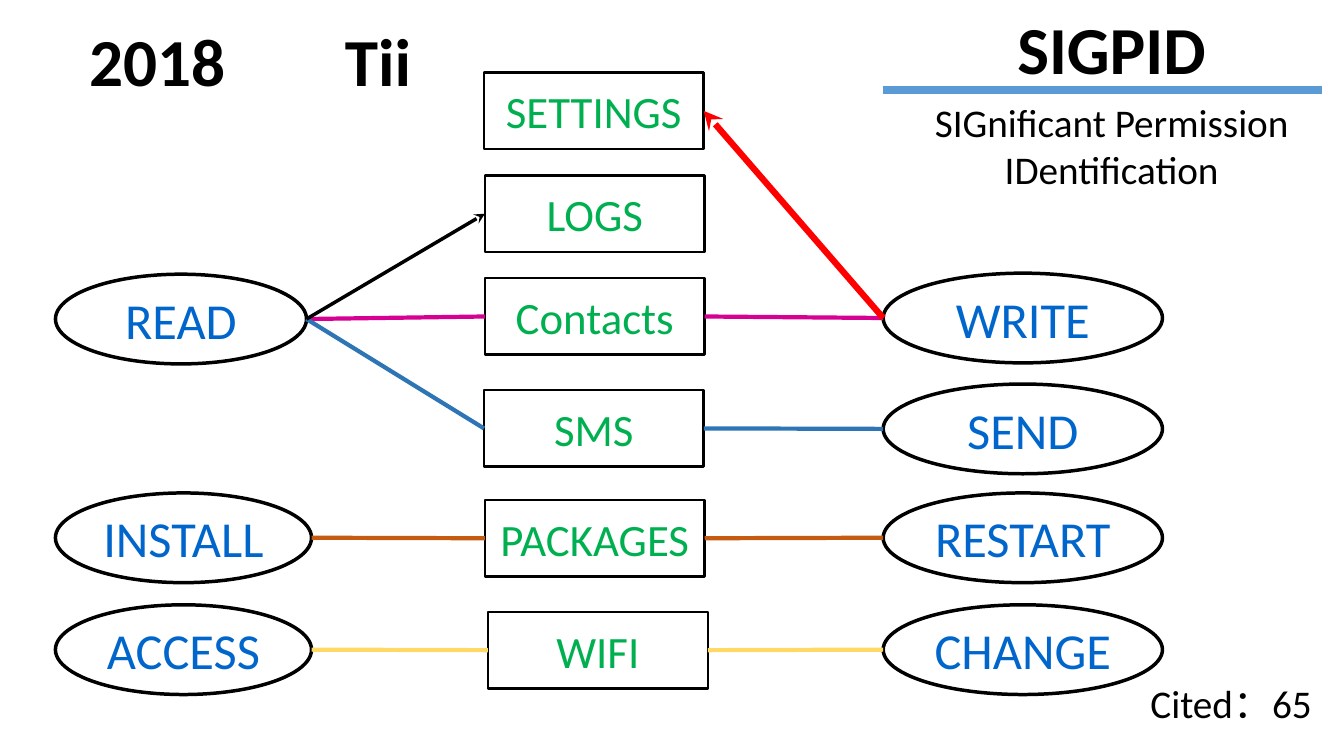
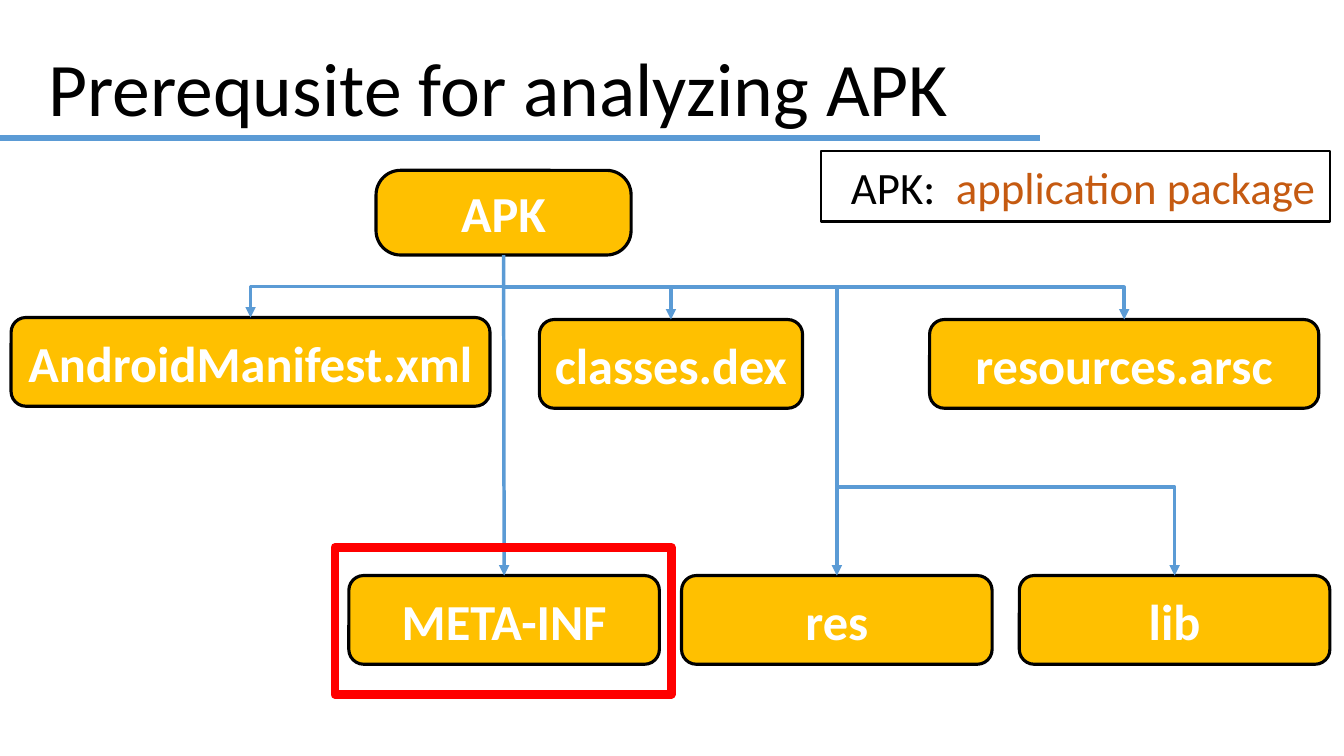
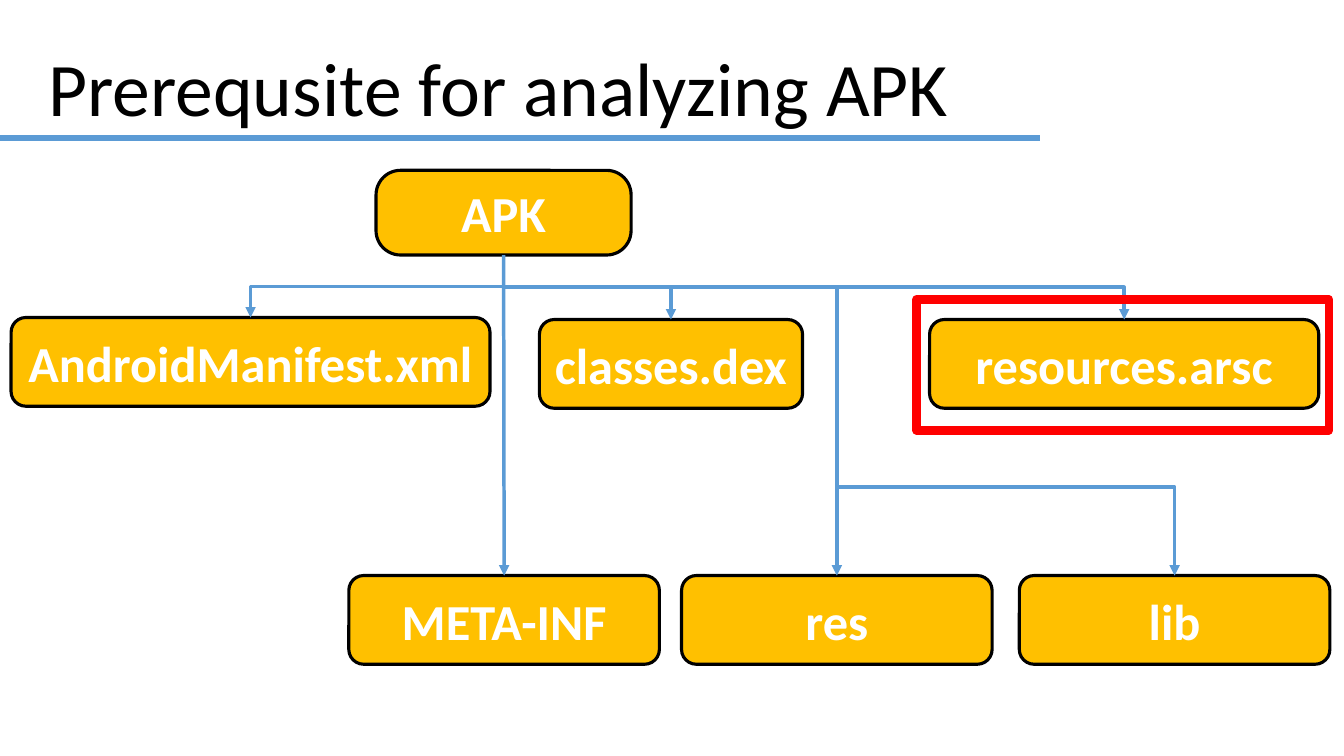
from lxml import etree
from pptx import Presentation
from pptx import util as u
from pptx.dml.color import RGBColor
from pptx.enum import shapes, text
from pptx.oxml import ns

FONT = "Calibri"
BLACK, WHITE, RED = "000000", "FFFFFF", "FF0000"
SKY, GOLD, RUST = "5B9BD5", "FFC000", "C55A11"
VERB_COLOR, TARGET_COLOR = "0066CC", "00B050"
PINK, BLUE, YELLOW = "D60093", "2E75B6", "FFD966"
KINDS = shapes.MSO_SHAPE
CENTER, LEFT, RIGHT = text.PP_ALIGN.CENTER, text.PP_ALIGN.LEFT, text.PP_ALIGN.RIGHT
TOP, MIDDLE = text.MSO_ANCHOR.TOP, text.MSO_ANCHOR.MIDDLE

LABELS = [
    (["2018"], (0.66, 0.14, 1.8, 0.91), 48, True, CENTER),
    (["Tii"], (2.95, 0.14, 1.6, 0.91), 48, True, CENTER),
    (["Cited：65"], (10.14, 6.69, 2.97, 0.57), 28, False, RIGHT),
    (["SIGnificant Permission", "IDentification"],
     (8.38, 0.93, 5.29, 1.04), 28, False, CENTER),
]
LEFT_VERBS = {"READ": (2.72, 2.49), "INSTALL": (4.89, 2.54), "ACCESS": (6, 2.54)}
RIGHT_VERBS = {"WRITE": 2.71, "SEND": 3.81, "RESTART": 4.89, "CHANGE": 6}
TARGETS = {
    "SETTINGS": (4.8, 0.72), "LOGS": (4.81, 1.74), "Contacts": (4.81, 2.76),
    "SMS": (4.8, 3.87), "PACKAGES": (4.81, 4.96), "WIFI": (4.84, 6.07),
}
LINKS = [
    ("READ", "Contacts", PINK, 3, None),
    ("WRITE", "Contacts", PINK, 3, None),
    ("READ", "SMS", BLUE, 3, None),
    ("SEND", "SMS", BLUE, 3, None),
    ("INSTALL", "PACKAGES", RUST, 3, None),
    ("RESTART", "PACKAGES", RUST, 3, None),
    ("ACCESS", "WIFI", YELLOW, 3, None),
    ("CHANGE", "WIFI", YELLOW, 3, None),
    ("READ", "LOGS", BLACK, 2.5, "stealth"),
    ("WRITE", "SETTINGS", RED, 4.5, "stealth"),
]

APK_TITLE = "Prerequsite for analyzing APK"
APK_PARTS = {
    "APK": (3.73, 1.69, 2.53, 0.84),
    "AndroidManifest.xml": (0.11, 3.15, 4.75, 0.88),
    "classes.dex": (5.35, 3.17, 2.61, 0.88),
    "resources.arsc": (9.22, 3.17, 3.86, 0.88),
    "META-INF": (3.46, 5.71, 3.08, 0.88),
    "res": (6.76, 5.71, 3.08, 0.88),
    "lib": (10.11, 5.71, 3.08, 0.88),
}
BRANCHES = [("AndroidManifest.xml", 0.5), ("classes.dex", 0.5),
            ("resources.arsc", 0.5), ("res", 0.1)]
LIB_BRANCH_Y = 4.83
APK_SLIDES = [
    ((3.32, 5.43, 3.34, 1.46), ("APK:", "application package")),
    ((9.09, 2.97, 4.09, 1.3), None),
]


def rgb(color):
    return RGBColor.from_string(color)


def inches(values):
    return [u.Inches(value) for value in values]


def write(paragraph, words, size, color=BLACK, bold=False, align=CENTER):
    paragraph.alignment = align
    run = paragraph.add_run()
    run.text = words
    run.font.name, run.font.size, run.font.bold = FONT, u.Pt(size), bold
    run.font.color.rgb = rgb(color)


def setup_frame(shape, anchor, margin=0.1):
    frame = shape.text_frame
    frame.word_wrap = True
    frame.auto_size = text.MSO_AUTO_SIZE.NONE
    frame.vertical_anchor = anchor
    frame.margin_left = frame.margin_right = u.Inches(margin)
    frame.margin_top = frame.margin_bottom = u.Inches(0.05)
    return frame


def add_label(slide, lines, box, size, bold, align):
    frame = setup_frame(slide.shapes.add_textbox(*inches(box)), TOP)
    for index, line in enumerate(lines):
        paragraph = frame.add_paragraph() if index else frame.paragraphs[0]
        write(paragraph, line, size, bold=bold, align=align)


def add_box(slide, kind, box, width, line=BLACK, fill=None):
    shape = slide.shapes.add_shape(kind, *inches(box))
    shape.shadow.inherit = False
    if fill:
        shape.fill.solid()
        shape.fill.fore_color.rgb = rgb(fill)
    else:
        shape.fill.background()
    shape.line.color.rgb, shape.line.width = rgb(line), u.Pt(width)
    return shape


def add_node(slide, kind, box, width, words, size, color, bold=False, fill=None):
    shape = add_box(slide, kind, box, width, fill=fill)
    frame = setup_frame(shape, MIDDLE, 0.05)
    write(frame.paragraphs[0], words, size, color, bold)
    return shape


def add_line(slide, start, end, color, width, arrow=None,
             kind=shapes.MSO_CONNECTOR.STRAIGHT):
    connector = slide.shapes.add_connector(kind, *inches(start + end))
    connector.line.color.rgb, connector.line.width = rgb(color), u.Pt(width)
    if arrow:
        tail = etree.SubElement(connector.line._get_or_add_ln(), ns.qn("a:tailEnd"))
        tail.set("type", arrow)
    etree.SubElement(connector._element.spPr, ns.qn("a:effectLst"))
    return connector


def add_elbow(slide, start, end):
    return add_line(slide, start, end, SKY, 2.5, "triangle", shapes.MSO_CONNECTOR.ELBOW)


def add_drop_elbow(slide, start, end, bend):
    (x1, y1), (x2, y2) = start, end
    middle_x, middle_y = (x1 + x2) / 2, (y1 + y2) / 2
    half_run = (y2 - y1) / 2 * (-1 if x2 > x1 else 1)
    half_rise = abs(x2 - x1) / 2
    connector = add_elbow(slide, (middle_x - half_run, middle_y - half_rise),
                          (middle_x + half_run, middle_y + half_rise))
    properties = connector._element.spPr
    turn = 270 if x2 > x1 else 90
    properties.find(ns.qn("a:xfrm")).set("rot", str(turn * 60000))
    geometry = properties.find(ns.qn("a:prstGeom"))
    values = geometry.find(ns.qn("a:avLst"))
    if values is None:
        values = etree.SubElement(geometry, ns.qn("a:avLst"))
    guide = etree.SubElement(values, ns.qn("a:gd"))
    guide.set("name", "adj1")
    guide.set("fmla", f"val {round(bend * 100000)}")


def add_titled_slide(presentation, title, box, size, bold, rule, rule_width):
    slide = presentation.slides.add_slide(presentation.slide_layouts[5])
    shape = slide.shapes.title
    shape.left, shape.top, shape.width, shape.height = inches(box)
    write(setup_frame(shape, TOP).paragraphs[0], title, size, bold=bold)
    x1, x2, y = rule
    add_line(slide, (x1, y), (x2, y), SKY, rule_width)
    return slide


def build_permissions(presentation):
    slide = add_titled_slide(presentation, "SIGPID", (9.03, 0.02, 3.99, 0.91),
                             48, True, (8.76, 13.11, 0.89), 5.75)
    for label in LABELS:
        add_label(slide, *label)
    verbs = {name: (0.55, top, width, 0.89) for name, (top, width) in LEFT_VERBS.items()}
    verbs.update({name: (8.76, top, 2.77, 0.89) for name, top in RIGHT_VERBS.items()})
    for name, box in verbs.items():
        add_node(slide, KINDS.OVAL, box, 2.5, name, 36, VERB_COLOR)
    targets = {
        name: add_node(slide, KINDS.RECTANGLE, (*corner, 2.18, 0.76), 1.75,
                       name, 32, TARGET_COLOR)
        for name, corner in TARGETS.items()
    }
    for verb, target, color, width, arrow in LINKS:
        left, top, verb_width, height = verbs[verb]
        on_left = verb in LEFT_VERBS
        start = (left + verb_width if on_left else left, top + height / 2)
        connector = add_line(slide, start, TARGETS[target], color, width, arrow)
        connector.end_connect(targets[target], 1 if on_left else 3)


def add_definition(slide, term, meaning):
    shape = add_box(slide, KINDS.FLOWCHART_PROCESS, (8.14, 1.5, 5.05, 0.7), 1.75)
    frame = setup_frame(shape, MIDDLE, 0.05)
    frame.margin_left = u.Inches(0.3)
    paragraph = frame.paragraphs[0]
    stops = etree.SubElement(paragraph._p.get_or_add_pPr(), ns.qn("a:tabLst"))
    stop = etree.SubElement(stops, ns.qn("a:tab"))
    stop.set("pos", str(u.Inches(1.04)))
    stop.set("algn", "l")
    write(paragraph, term + "\t", 32, align=LEFT)
    write(paragraph, meaning, 32, RUST, align=LEFT)


def top_middle(name):
    left, top, width, _ = APK_PARTS[name]
    return left + width / 2, top


def build_apk(presentation, highlight, definition):
    slide = add_titled_slide(presentation, APK_TITLE, (0.16, 0.36, 9.57, 1.01),
                             54, False, (0, 10.32, 1.37), 4)
    if definition:
        add_definition(slide, *definition)
    parts = {
        name: add_node(slide, KINDS.ROUNDED_RECTANGLE, box, 2.25, name, 36,
                       WHITE, True, GOLD)
        for name, box in APK_PARTS.items()
    }
    parts["APK"].adjustments[0] = 0.29
    root_x, root_top = top_middle("APK")
    root = (root_x, root_top + APK_PARTS["APK"][3])
    for name, bend in BRANCHES:
        add_drop_elbow(slide, root, top_middle(name), bend)
    trunk = add_line(slide, root, top_middle("META-INF"), SKY, 2.5, "triangle")
    trunk.begin_connect(parts["APK"], 2)
    trunk.end_connect(parts["META-INF"], 0)
    side = add_elbow(slide, (top_middle("res")[0], LIB_BRANCH_Y), top_middle("lib"))
    side._element.spPr.find(ns.qn("a:prstGeom")).set("prst", "bentConnector2")
    add_box(slide, KINDS.RECTANGLE, highlight, 6, line=RED)


def main():
    presentation = Presentation()
    presentation.slide_width, presentation.slide_height = inches((13.33, 7.5))
    build_permissions(presentation)
    for highlight, definition in APK_SLIDES:
        build_apk(presentation, highlight, definition)
    presentation.save("out.pptx")


if __name__ == "__main__":
    main()
